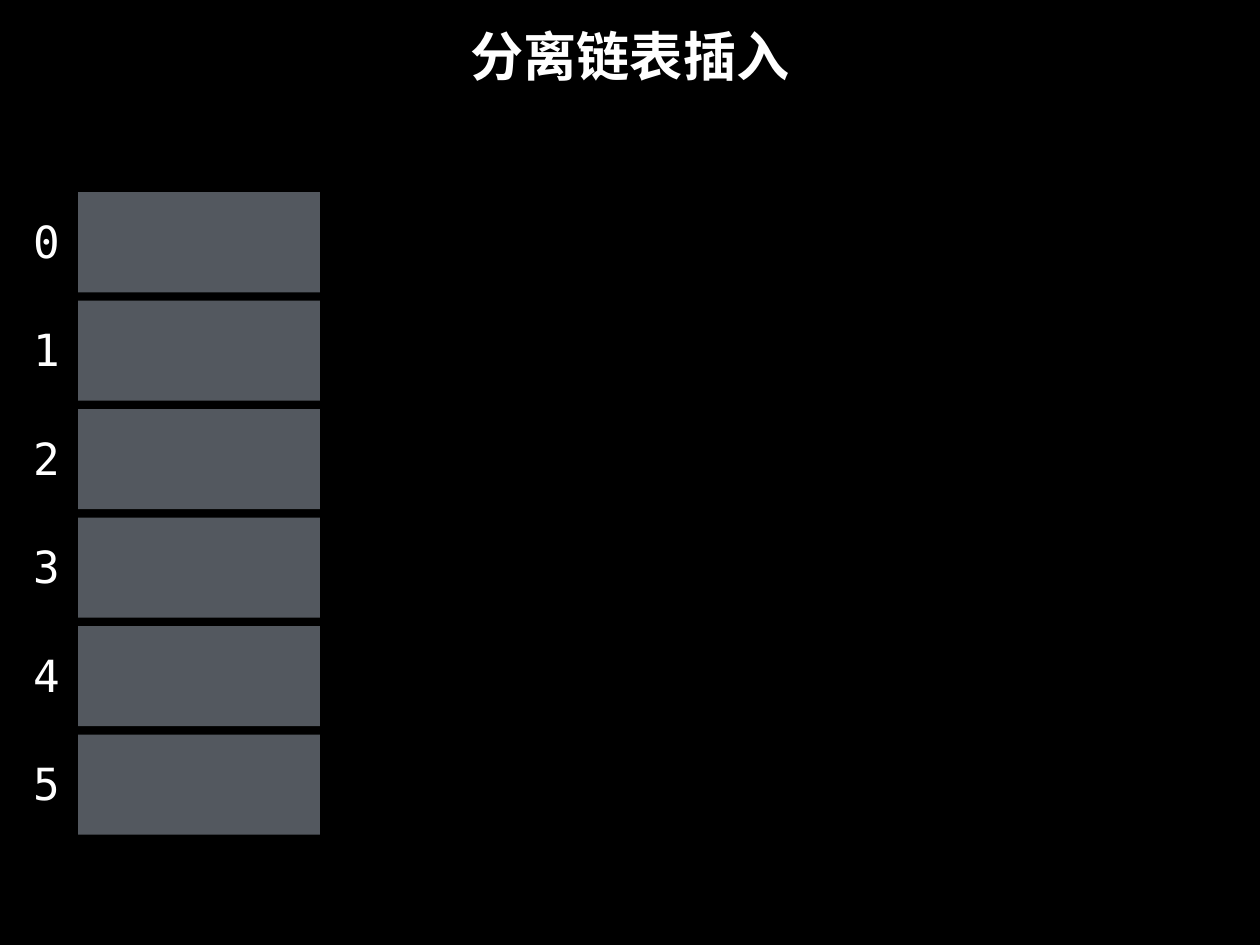
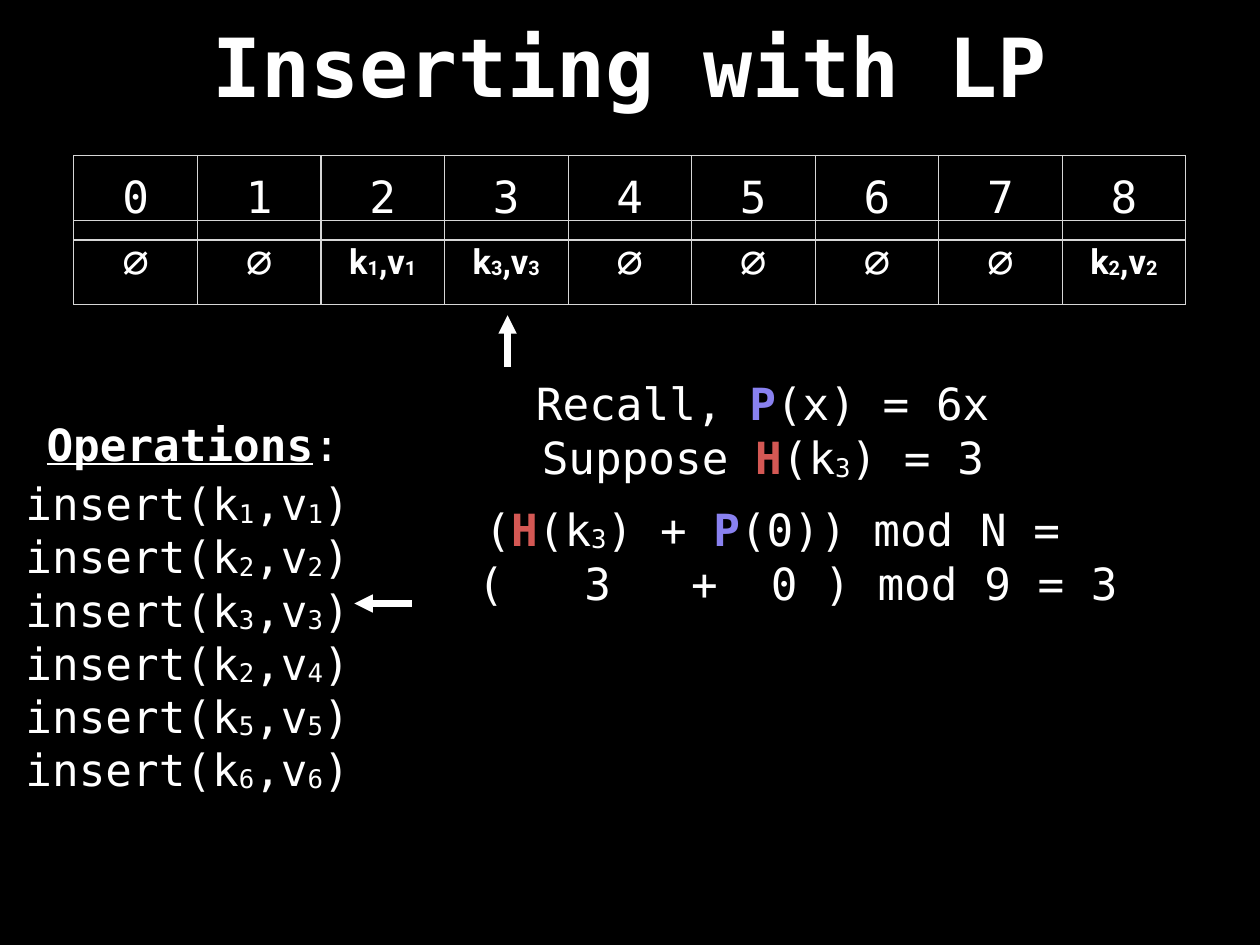
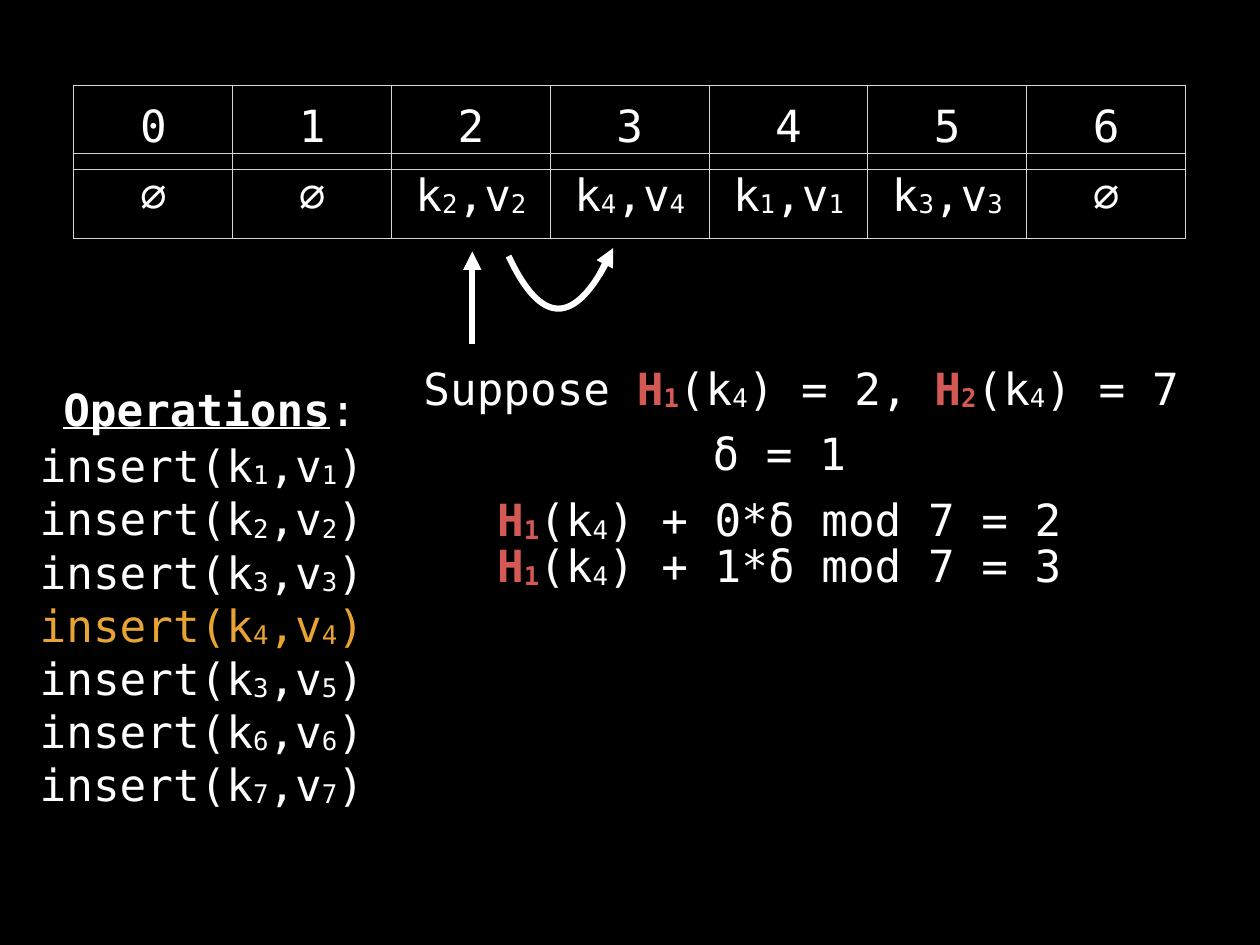
import itertools
from dataclasses import dataclass

import lxml.etree
import pptx
import pptx.dml.color
import pptx.enum.shapes
import pptx.enum.text
import pptx.oxml.ns
import pptx.util

Cm, Pt = pptx.util.Cm, pptx.util.Pt
RGB = pptx.dml.color.RGBColor.from_string
qn = pptx.oxml.ns.qn
LEFT = pptx.enum.text.PP_ALIGN.LEFT
CENTER = pptx.enum.text.PP_ALIGN.CENTER
TOP = pptx.enum.text.MSO_ANCHOR.TOP
MIDDLE = pptx.enum.text.MSO_ANCHOR.MIDDLE


@dataclass(frozen=True)
class Theme:
    background: str = "000000"
    text: str = "FFFFFF"
    bucket: str = "53585F"
    border: str = "D6D6D6"
    current: str = "E8A432"
    hash_function: str = "D45854"
    probe_function: str = "8981F0"
    mono: str = "DejaVu Sans Mono"
    sans: str = "Roboto"
    body: float = 36
    small: float = 28
    title_small: float = 43.2
    title_large: float = 66.2
    stroke: float = 5
    inset: float = 0.15
    line_height: float = 1.73


THEME = Theme()
ACCENTS = {"H": THEME.hash_function, "P": THEME.probe_function}


def write(paragraph, marked, size=THEME.body, font=THEME.mono, color=THEME.text, bold=False):
    """Append runs: _x is a subscript, {H} or {P} a bold accented function."""
    characters, accented, lowered, shade = [], False, False, color
    for mark in marked:
        if mark in "{}":
            accented = mark == "{"
        elif mark == "_":
            lowered = True
        else:
            shade = ACCENTS.get(mark, shade) if accented else color
            characters.append((mark, shade, bold or accented, lowered))
            lowered = False
    for (shade, heavy, lowered), group in itertools.groupby(characters, lambda c: c[1:]):
        run = paragraph.add_run()
        run.text = "".join(c[0] for c in group)
        run.font.size, run.font.name, run.font.bold = Pt(size), font, heavy
        run.font.color.rgb = RGB(shade)
        properties = run._r.get_or_add_rPr()
        for script in ("a:ea", "a:cs"):
            lxml.etree.SubElement(properties, qn(script)).set("typeface", font)
        if lowered:
            properties.set("baseline", "-5999")


def add_text(slide, lines, left, top, width, height=THEME.line_height, align=CENTER,
             anchor=MIDDLE, tabs=(), wrap=False, current=None, **style):
    """Add a text box; lines equal to current take the highlight colour."""
    box = slide.shapes.add_textbox(Cm(left), Cm(top), Cm(width), Cm(height))
    frame = box.text_frame
    frame.margin_left = frame.margin_right = Cm(THEME.inset)
    frame.margin_top = frame.margin_bottom = Cm(THEME.inset)
    frame.vertical_anchor, frame.word_wrap = anchor, wrap
    if not wrap:
        frame.auto_size = pptx.enum.text.MSO_AUTO_SIZE.SHAPE_TO_FIT_TEXT
    for number, line in enumerate(lines):
        paragraph = frame.add_paragraph() if number else frame.paragraphs[0]
        paragraph.alignment = align
        if tabs:
            stops = lxml.etree.SubElement(paragraph._p.get_or_add_pPr(), qn("a:tabLst"))
            for stop in tabs:
                tab = lxml.etree.SubElement(stops, qn("a:tab"))
                tab.set("pos", str(Cm(stop)))
                tab.set("algn", "l")
        color = THEME.current if line == current else THEME.text
        write(paragraph, line, color=color, **style)
    return box


deck = pptx.Presentation()
deck.slide_width, deck.slide_height = Cm(36.12), Cm(27.09)
deck.slide_master.background.fill.solid()
deck.slide_master.background.fill.fore_color.rgb = RGB(THEME.background)
blank = deck.slide_layouts[6]
TITLE = dict(left=0, width=36.12, height=3.3, wrap=True, bold=True)

# Separate chaining: numbered buckets
chaining = deck.slides.add_slide(blank)
add_text(chaining, ["分离链表插入"], top=-0.08, size=THEME.title_small, **TITLE)
for index in range(6):
    bucket_top = 5.51 + 3.11 * index
    bucket = chaining.shapes.add_shape(
        pptx.enum.shapes.MSO_SHAPE.RECTANGLE, Cm(2.24), Cm(bucket_top), Cm(6.93), Cm(2.87))
    bucket.shadow.inherit = False
    bucket.fill.solid()
    bucket.fill.fore_color.rgb = RGB(THEME.bucket)
    bucket.line.fill.background()
    add_text(chaining, [str(index)], 0.79, bucket_top + 0.52, 1.09)

# Open addressing: content of the two probing slides
probing = [
    dict(
        title="Inserting with LP",
        slots=["∅", "∅", "k_1,v_1", "k_3,v_3", "∅", "∅", "∅", "∅", "k_2,v_2"],
        entry_style=dict(size=THEME.small, font=THEME.sans, bold=True),
        index_top=4.47, slot_top=6.32, row_height=2.41,
        heading=(1.17, 11.86), operations_at=(0.58, 13.51),
        operations=["11", "22", "33", "24", "55", "66"], current=None,
        formulas=[
            ("Recall, {P}(x) = 6x", 15.21, 10.67, 13.31, CENTER, ()),
            ("Suppose {H}(k_3) = 3", 15.34, 12.24, 13.06, CENTER, ()),
            ("({H}(k_3) + {P}(0)) mod N =", 13.74, 14.3, 17.65, LEFT, ()),
            ("(\t3\t+\t0 ) mod 9 = 3", 13.54, 15.85, 19.5, LEFT, (3.06, 6.12, 8.41)),
        ],
        arrows=[(11.81, 17.3, 10.16, 17.3), (14.55, 10.52, 14.55, 9.04)],
        jump=None,
    ),
    dict(
        title=None,
        slots=["∅", "∅", "k_2,v_2", "k_4,v_4", "k_1,v_1", "k_3,v_3", "∅"],
        entry_style={},
        index_top=2.45, slot_top=4.41, row_height=2.42,
        heading=(1.65, 10.85), operations_at=(0.99, 12.42),
        operations=["11", "22", "33", "44", "35", "66", "77"], current="44",
        formulas=[
            ("Suppose {H_1}(k_4) = 2, {H_2}(k_4) = 7", 11.99, 10.24, 22.23, LEFT, ()),
            ("δ = 1", 20.27, 12.12, 4.14, CENTER, ()),
            ("{H_1}(k_4) + 0*δ mod 7 = 2", 14.02, 14.02, 16.64, CENTER, ()),
            ("{H_1}(k_4) + 1*δ mod 7 = 3", 14.02, 15.34, 16.64, CENTER, ()),
        ],
        arrows=[(13.54, 9.86, 13.54, 7.21), (17.17, 7.9, 17.58, 7.11)],
        jump=[(17.48, 7.34), (16.48, 9.35), (15.52, 9.35), (14.58, 7.34)],
    ),
]

for content in probing:
    slide = deck.slides.add_slide(blank)
    if content["title"]:
        add_text(slide, [content["title"]], top=0.2, size=THEME.title_large, **TITLE)

    # Slot contents, with the row of indexes overlapping them
    slots = content["slots"]
    indexes = [str(number) for number in range(len(slots))]
    for entries, top in ((slots, content["slot_top"]), (indexes, content["index_top"])):
        row_height = Cm(content["row_height"])
        table = slide.shapes.add_table(
            1, len(entries), Cm(2.12), Cm(top), Cm(31.87), row_height).table
        table.first_row = table.horz_banding = False
        for column, entry in enumerate(entries):
            cell = table.cell(0, column)
            cell.fill.background()
            cell.vertical_anchor = MIDDLE
            cell.margin_left = cell.margin_right = Cm(THEME.inset)
            cell.margin_top = cell.margin_bottom = Cm(THEME.inset)
            paragraph = cell.text_frame.paragraphs[0]
            paragraph.alignment = CENTER
            write(paragraph, entry, **(content["entry_style"] if "_" in entry else {}))
            properties = cell._tc.get_or_add_tcPr()
            for position, side in enumerate(("a:lnL", "a:lnR", "a:lnT", "a:lnB")):
                border = lxml.etree.Element(qn(side), w=str(Pt(1)))
                fill = lxml.etree.SubElement(border, qn("a:solidFill"))
                lxml.etree.SubElement(fill, qn("a:srgbClr")).set("val", THEME.border)
                properties.insert(position, border)

    # Operations list
    heading = add_text(slide, ["Operations"], *content["heading"], 8.74)
    heading_line = heading.text_frame.paragraphs[0]
    heading_line.runs[0].font.bold = heading_line.runs[0].font.underline = True
    write(heading_line, ":")
    calls = {pair: f"insert(k_{pair[0]},v_{pair[1]})" for pair in content["operations"]}
    add_text(slide, calls.values(), *content["operations_at"], 10.52,
             0.3 + 1.44 * len(calls), align=LEFT, anchor=TOP,
             current=calls.get(content["current"]))

    # Probe calculation
    for formula, left, top, width, align, tabs in content["formulas"]:
        add_text(slide, [formula], left, top, width, align=align, tabs=tabs, wrap=bool(tabs))

    # Arrows to the current slot and operation
    for ends in content["arrows"]:
        arrow = slide.shapes.add_connector(
            pptx.enum.shapes.MSO_CONNECTOR.STRAIGHT, *(Cm(end) for end in ends))
        arrow.line.width = Pt(THEME.stroke)
        arrow.line.color.rgb = RGB(THEME.text)
        lxml.etree.SubElement(arrow.line._get_or_add_ln(), qn("a:tailEnd")).set("type", "triangle")
        lxml.etree.SubElement(arrow._element.spPr, qn("a:effectLst"))

    # Curved jump to the next slot, sampled along a cubic curve
    if content["jump"]:
        curve = []
        for step in range(33):
            t = step / 32
            weights = ((1 - t) ** 3, 3 * t * (1 - t) ** 2, 3 * t * t * (1 - t), t ** 3)
            curve.append(tuple(Cm(sum(w * value for w, value in zip(weights, axis)))
                               for axis in zip(*content["jump"])))
        builder = slide.shapes.build_freeform(*curve[0])
        builder.add_line_segments(curve[1:], close=False)
        jump = builder.convert_to_shape()
        jump.shadow.inherit = False
        jump.fill.background()
        jump.line.width = Pt(THEME.stroke)
        jump.line.color.rgb = RGB(THEME.text)

deck.save("out.pptx")
